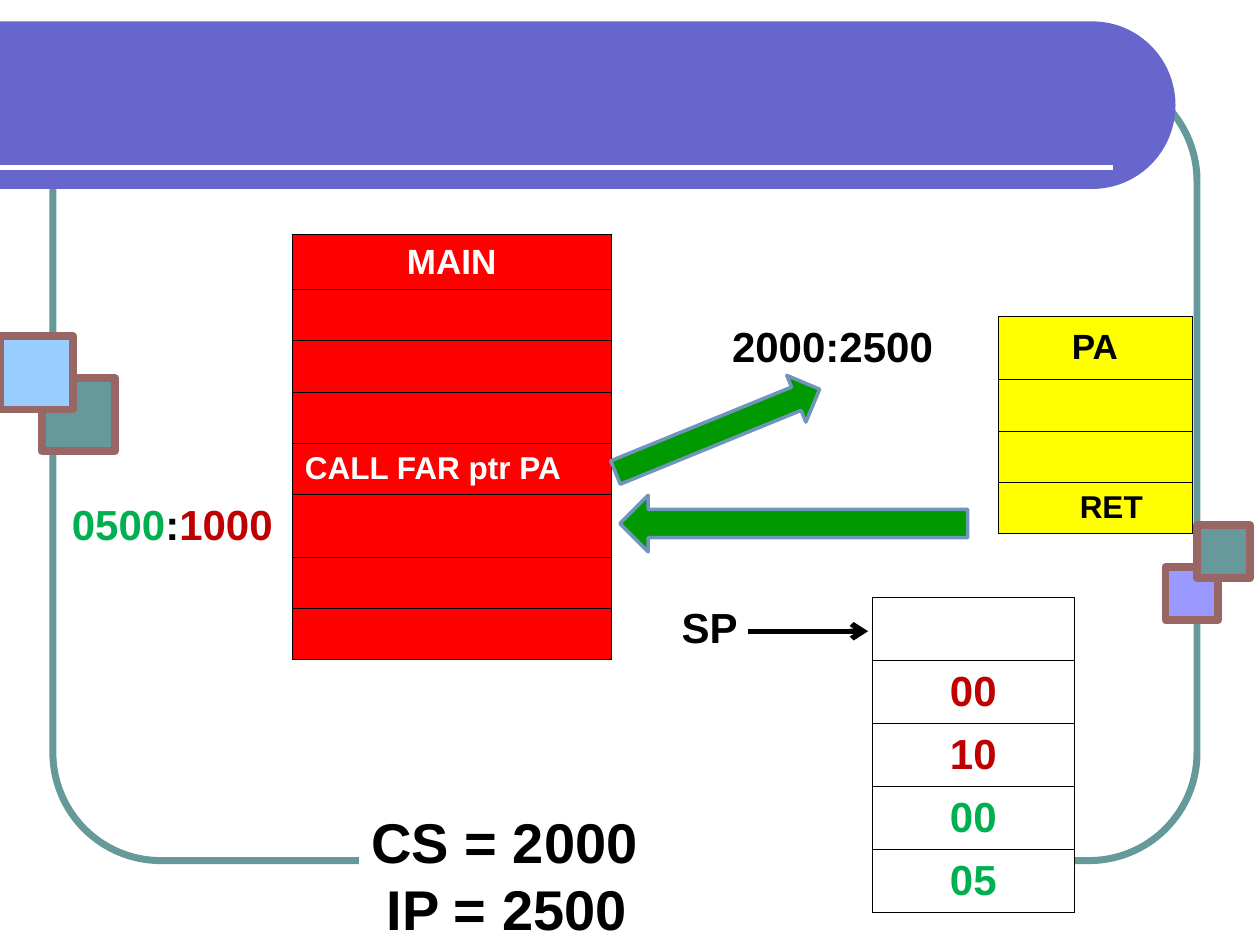
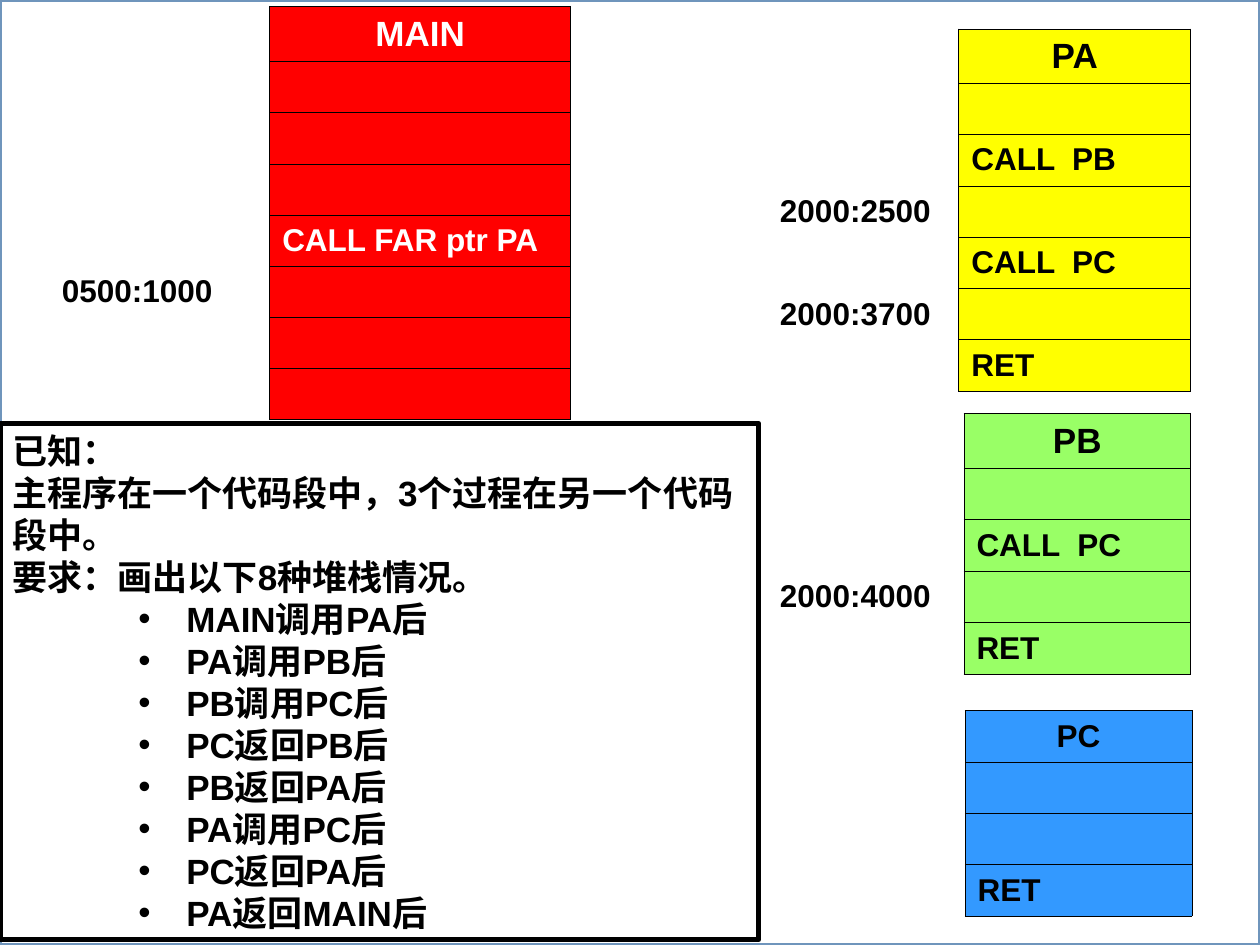
from math import cos, pi, sin

from lxml import etree
from pptx import Presentation
from pptx.dml.color import RGBColor
from pptx.enum.shapes import MSO_CONNECTOR, MSO_SHAPE
from pptx.enum.text import MSO_ANCHOR, PP_ALIGN
from pptx.oxml.ns import qn
from pptx.util import Emu, Inches, Pt

COLS, ROWS = 10, 7.5  # the grid: one unit is one inch both ways
RECT = MSO_SHAPE.RECTANGLE
ROUND = MSO_SHAPE.ROUNDED_RECTANGLE
TO_RIGHT, TO_LEFT = MSO_SHAPE.RIGHT_ARROW, MSO_SHAPE.LEFT_ARROW
STRAIGHT = MSO_CONNECTOR.STRAIGHT
MIDDLE, TOP = MSO_ANCHOR.MIDDLE, MSO_ANCHOR.TOP
LEFT, CENTER = PP_ALIGN.LEFT, PP_ALIGN.CENTER

FONT = "Arial"
PLAIN_GRID = "{2D5ABB26-0587-4C30-8999-92F81FD0307C}"
BLACK, WHITE = "000000", "FFFFFF"
RED, YELLOW, LIME, BLUE = "FF0000", "FFFF00", "99FF66", "3399FF"
GREEN, CRIMSON, LEAF = "00B050", "C00000", "009900"
VIOLET, TEAL, BROWN, STEEL = "6666CC", "669999", "996666", "6F95BC"
LILAC, SKY = "9999FF", "99CCFF"

HEAD = {"size": 20, "align": CENTER}
BIG = {"size": 24}
BYTE = {"size": 24, "align": CENTER}


def rgb(code):
    return RGBColor.from_string(code)


def units(*values):
    return [Inches(value) for value in values]


def node(parent, tag, **attrs):
    return etree.SubElement(parent, qn(tag), **attrs)


def paint(shape, fill=None, line=None, width=1):
    shape.shadow.inherit = False
    if fill:
        shape.fill.solid()
        shape.fill.fore_color.rgb = rgb(fill)
    else:
        shape.fill.background()
    if line:
        shape.line.color.rgb = rgb(line)
        shape.line.width = Pt(width)
    else:
        shape.line.fill.background()


def box(slide, kind, place, fill=None, line=None, width=1, turn=0):
    shape = slide.shapes.add_shape(kind, *units(*place))
    paint(shape, fill, line, width)
    shape.rotation = turn
    return shape


def rule(slide, start, end, color, width, arrow=False):
    line = slide.shapes.add_connector(STRAIGHT, *units(*start, *end))
    line.line.color.rgb = rgb(color)
    line.line.width = Pt(width)
    if arrow:
        node(line.line._get_or_add_ln(), "a:tailEnd", type="arrow")
    node(line._element.spPr, "a:effectLst")


def write(para, text, size=18, color=BLACK, align=LEFT, left=0, hang=0,
          bullet=None):
    """Fill a paragraph; text is a string or a list of (string, color)."""
    para.alignment = align
    props = para._p.get_or_add_pPr()
    props.set("marL", str(Inches(left)))
    props.set("indent", str(Inches(-hang)))
    if bullet:
        node(node(props, "a:buClr"), "a:srgbClr", val=color)
        node(props, "a:buFont", typeface=FONT)
        node(props, "a:buChar", char=bullet)
    for part, ink in [(text, color)] if isinstance(text, str) else text:
        run = para.add_run()
        run.text = part
        run.font.name = FONT
        run.font.size = Pt(size)
        run.font.bold = True
        run.font.color.rgb = rgb(ink)


def note(shape, lines):
    """Put (text, format) lines into a shape from its top."""
    frame = shape.text_frame
    frame.word_wrap = True
    frame.vertical_anchor = TOP
    for row, (text, style) in enumerate(lines):
        para = frame.add_paragraph() if row else frame.paragraphs[0]
        write(para, text, **style)


def edge(cell, sides):
    props = cell._tc.get_or_add_tcPr()
    for side in sides:
        line = node(props, "a:ln" + side, w=str(Pt(0.45)))
        node(node(line, "a:solidFill"), "a:srgbClr", val=BLACK)


def fill_cell(cell, fill, sides):
    edge(cell, sides)
    if fill:
        cell.fill.solid()
        cell.fill.fore_color.rgb = rgb(fill)
    else:
        cell.fill.background()
    cell.vertical_anchor = MIDDLE


def stack(slide, place, widths, rows, fill, body, side=None, back=None,
          ink=BLACK):
    """Draw memory cells; body and side map a row to (text, format)."""
    size = sum(widths), sum(rows)
    frame = slide.shapes.add_table(len(rows), len(widths),
                                   *units(*place, *size))
    table = frame.table
    table.first_row = table.horz_banding = False
    table._tbl.tblPr.find(qn("a:tableStyleId")).text = PLAIN_GRID
    for column, width in zip(table.columns, widths):
        column.width = Inches(width)
    last = len(widths) - 1
    for row, height in enumerate(rows):
        table.rows[row].height = Inches(height)
        fill_cell(table.cell(row, last), fill, "LRTB")
        if last:
            fill_cell(table.cell(row, 0), back, "R")
    for col, texts in ((last, body), (0, side or {})):
        for row, (text, style) in texts.items():
            para = table.cell(row, col).text_frame.paragraphs[0]
            write(para, text, **{"color": ink if col == last else BLACK,
                                 **style})


def main_stack(slide, place, widths, rows, label, style):
    body = {0: ("MAIN", HEAD), 4: ("CALL FAR ptr PA", {})}
    stack(slide, place, widths, rows, RED, body, {5: (label, style)},
          ink=WHITE)


def banner(slide, top, bottom, flat, tip):
    """Draw a band from the left edge with a rounded right end."""
    half, mid = (bottom - top) / 2, (top + bottom) / 2
    steps = 48
    angles = [pi * (step / steps - 0.5) for step in range(steps + 1)]
    arc = [(flat + (tip - flat) * cos(a), mid + half * sin(a))
           for a in angles]
    points = [tuple(units(*point)) for point in arc + [(0, bottom)]]
    pen = slide.shapes.build_freeform(Emu(0), Inches(top))
    pen.add_line_segments(points, close=True)
    paint(pen.convert_to_shape(), VIOLET)


def decor(slide):
    frame = box(slide, ROUND, (0.42, 0.58, 9.08, 6.25), None, TEAL, 4)
    frame.adjustments[0] = 0.137
    banner(slide, 0.17, 1.5, 8.67, 9.33)
    rule(slide, (0, 1.33), (8.83, 1.33), WHITE, 3)
    for left, top, side, fill in ((9.25, 4.5, 0.42, LILAC),
                                  (9.5, 4.17, 0.42, TEAL),
                                  (0.33, 3, 0.58, TEAL),
                                  (0, 2.67, 0.58, SKY)):
        box(slide, RECT, (left, top, side, side), fill, BROWN, 4.5)


def far_call(slide):
    decor(slide)
    label = [("0500", GREEN), (":", BLACK), ("1000", CRIMSON)]
    rows = [0.44] + [0.4] * 4 + [0.5] + [0.4] * 2
    main_stack(slide, (0.47, 1.86), (1.85, 2.53), rows, label, BIG)
    stack(slide, (5.71, 2.51), (2.21, 1.54), (0.5, 0.41, 0.4, 0.41), YELLOW,
          {0: ("PA", HEAD), 3: ("RET", {"left": 0.55})},
          {0: ("2000:2500", BIG)})
    pushed = (("00", CRIMSON), ("10", CRIMSON), ("00", GREEN), ("05", GREEN))
    body = {row: (text, {**BYTE, "color": color})
            for row, (text, color) in enumerate(pushed, 1)}
    stack(slide, (5.31, 4.74), (1.61, 1.61), [0.5] * 5, WHITE, body,
          {0: ("SP", BIG)}, WHITE)
    rule(slide, (5.94, 5.01), (6.89, 5.01), BLACK, 3, arrow=True)
    note(box(slide, RECT, (2.85, 6.36, 3.07, 1.17), WHITE),
         [("CS = 2000", {"size": 32}),
          ("IP = 2500", {"size": 32, "left": 0.12})])
    box(slide, TO_RIGHT, (4.82, 3.22, 1.75, 0.4), LEAF, STEEL, 2, 337.8)
    box(slide, TO_LEFT, (4.92, 3.93, 2.76, 0.45), LEAF, STEEL, 2)


def nested_calls(slide):
    box(slide, RECT, (0, 0, COLS, ROWS), WHITE, STEEL, 2)
    main_stack(slide, (0.39, 0.05), (1.75, 2.39), [0.44] + [0.4] * 7,
               "0500:1000", {})
    stack(slide, (6.09, 0.23), (1.52, 1.84), [0.43] + [0.4, 0.41] * 3, YELLOW,
          {0: ("PA", HEAD), 2: ("CALL  PB", {}), 4: ("CALL  PC", {}),
           6: ("RET", {})},
          {3: ("2000:2500", {}), 5: ("2000:3700", {})})
    stack(slide, (6.09, 3.28), (1.56, 1.8), [0.44] + [0.4, 0.41] * 2, LIME,
          {0: ("PB", HEAD), 2: ("CALL  PC", {}), 4: ("RET", {})},
          {3: ("2000:4000", {})})
    stack(slide, (7.66, 5.64), (1.8,), (0.41, 0.4, 0.4, 0.41), BLUE,
          {0: ("PC", {"align": CENTER}), 3: ("RET", {})})
    plain = {"size": 20}
    item = {"size": 20, "left": 1.38, "hang": 0.38, "bullet": "•"}
    given = ("已知：", "主程序在一个代码段中，3个过程在另一个代码段中。",
             "要求：画出以下8种堆栈情况。")
    cases = ("MAIN调用PA后", "PA调用PB后", "PB调用PC后", "PC返回PB后",
             "PB返回PA后", "PA调用PC后", "PC返回PA后", "PA返回MAIN后")
    note(box(slide, RECT, (0, 3.36, 6.02, 4.1), WHITE, BLACK, 3),
         [(text, plain) for text in given] + [(text, item) for text in cases])


def main():
    deck = Presentation()
    deck.slide_width, deck.slide_height = units(COLS, ROWS)
    blank = deck.slide_layouts[6]
    for build in (far_call, nested_calls):
        build(deck.slides.add_slide(blank))
    deck.save("out.pptx")


if __name__ == "__main__":
    main()
